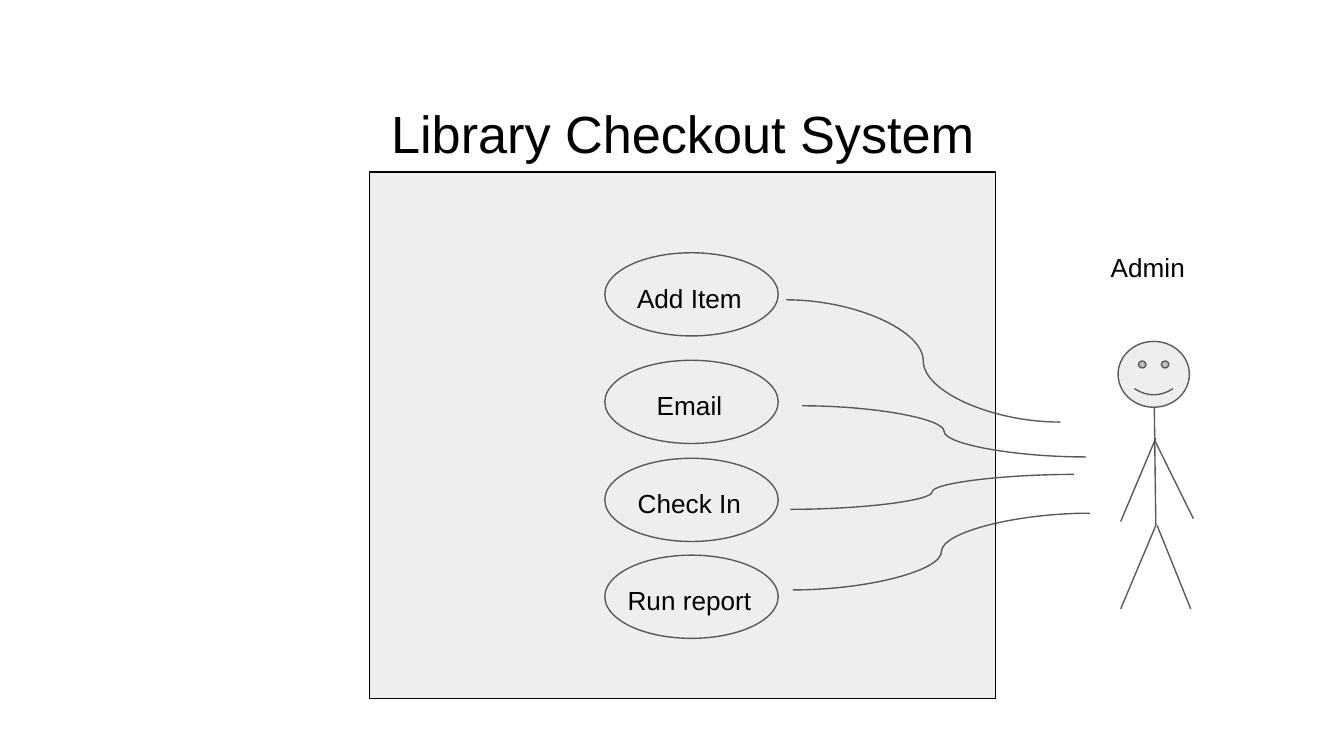
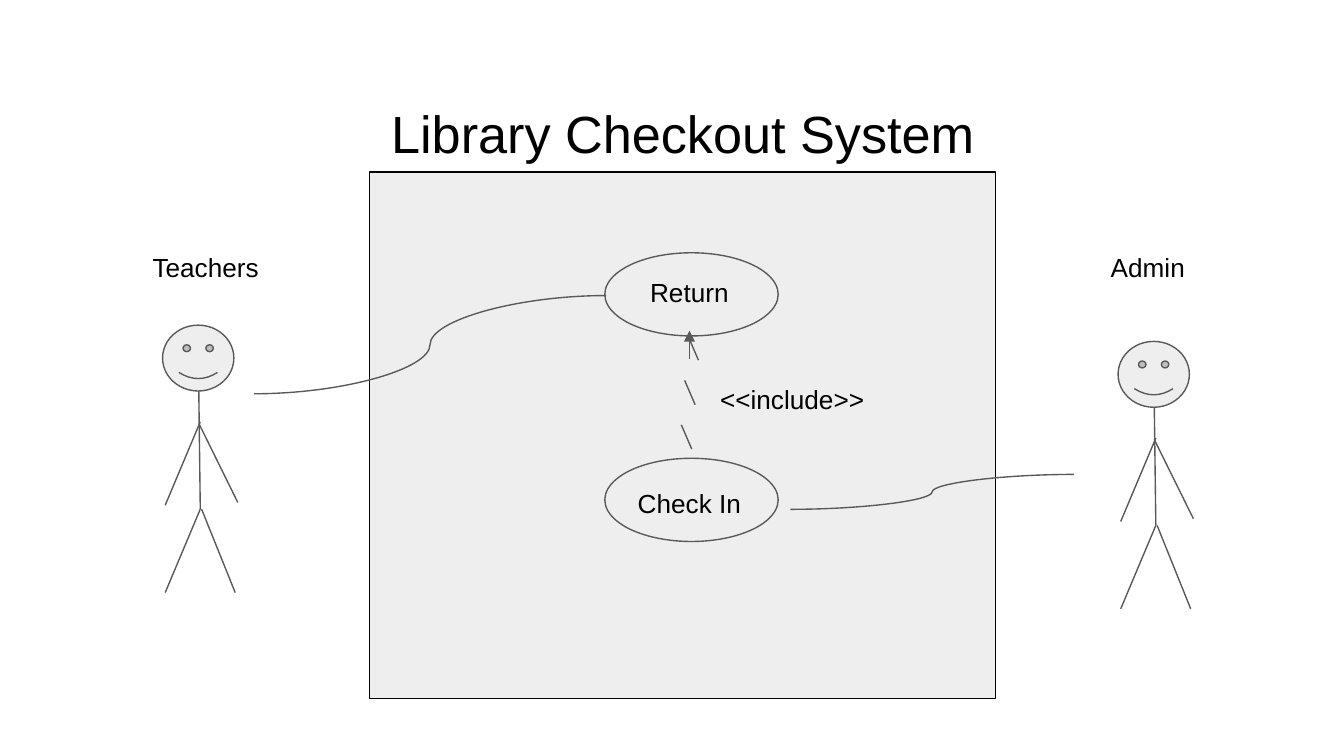
import pptx
import pptx.util
import pptx.dml.color
import pptx.enum.shapes
import pptx.enum.text
import pptx.oxml
import pptx.oxml.ns

Pt = pptx.util.Pt
SHAPE = pptx.enum.shapes.MSO_SHAPE
LINE = pptx.enum.shapes.MSO_CONNECTOR
ALIGN = pptx.enum.text.PP_ALIGN
ANCHOR = pptx.enum.text.MSO_ANCHOR

COLORS = {"ink": "000000", "panel": "EEEEEE", "stroke": "595959"}
FONT = "Arial"
INSET = 7.2

TITLE = "Library Checkout System"
TITLE_BOX = (30.2, 46.8, 671, 45.4)
SYSTEM_BOX = (198, 92.2, 335.5, 282.2)

# Use cases, as offsets inside the system box
CASE_X, CASE_W, CASE_H = 126, 92.9, 44.6
CASE_Y = {"top": 43.2, "second": 100.8, "third": 153.3, "bottom": 205.2}
LABEL_W = 426.2

# Stick figure, as offsets from the top left of the head
HEAD_W, HEAD_H = 38.2, 35.3
LIMBS = [
    (19.4, 35.3, 20.2, 98.6),    # spine
    (19.4, 52.6, 40.3, 95),      # right arm
    (20.2, 51.8, 1.4, 96.5),     # left arm
    (20.2, 98.6, 1.4, 143.3),    # left leg
    (20.9, 98.6, 38.9, 143.3),   # right leg
]
ACTOR_W, ACTOR_NAME_H = 135.4, 49.7
ADMIN = ("Admin", 547.2, 127.4, 51.8, 55.5)
TEACHERS = ("Teachers", 42.5, 127.4, 44.6, 46.8)

CHECK_IN_LINK = (423.4, 272.9, 575.3, 254.2)


def rgb(name):
    """Return the named colour."""
    return pptx.dml.color.RGBColor.from_string(COLORS[name])


def write(sp, text, size=14, align=ALIGN.CENTER, anchor=ANCHOR.TOP):
    """Fill a shape's text frame with one formatted run."""
    tf = sp.text_frame
    tf.word_wrap = True
    tf.auto_size = pptx.enum.text.MSO_AUTO_SIZE.NONE
    tf.vertical_anchor = anchor
    tf.margin_left = tf.margin_right = Pt(INSET)
    tf.margin_top = tf.margin_bottom = Pt(INSET)
    p = tf.paragraphs[0]
    p.alignment = align
    r = p.add_run()
    r.text = text
    r.font.name, r.font.size = FONT, Pt(size)
    r.font.color.rgb = rgb("ink")


def add_text(shapes, text, box, **fmt):
    """Add a text box."""
    write(shapes.add_textbox(*map(Pt, box)), text, **fmt)


def add_shape(shapes, kind, box, stroke="stroke"):
    """Add a flat panel-coloured shape with a thin outline."""
    sp = shapes.add_shape(kind, *map(Pt, box))
    sp.shadow.inherit = False
    sp.fill.solid()
    sp.fill.fore_color.rgb = rgb("panel")
    sp.line.color.rgb = rgb(stroke)
    sp.line.width = Pt(0.75)
    return sp


def add_line(shapes, ends, kind=LINE.STRAIGHT, arrow=False):
    """Add a thin line or curve, with an optional arrowhead at its end."""
    cxn = shapes.add_connector(kind, *map(Pt, ends))
    cxn.line.color.rgb = rgb("stroke")
    cxn.line.width = Pt(0.75)
    qn = pptx.oxml.ns.qn
    if arrow:
        tail = cxn.line._get_or_add_ln().makeelement(qn("a:tailEnd"), {"type": "triangle"})
        cxn.line._get_or_add_ln().append(tail)
    sp_pr = cxn._element.spPr
    sp_pr.append(sp_pr.makeelement(qn("a:effectLst"), {}))


def add_system(prs):
    """Add a slide with the title and the system boundary."""
    slide = prs.slides.add_slide(prs.slide_layouts[5])
    title = slide.shapes.title
    title.left, title.top, title.width, title.height = map(Pt, TITLE_BOX)
    write(title, TITLE, size=28)
    add_shape(slide.shapes, SHAPE.RECTANGLE, SYSTEM_BOX, stroke="ink")
    return slide.shapes


def add_case(shapes, text, row, box=SYSTEM_BOX, label_dy=6.5, label_h=35.3):
    """Add a use case oval with its label in a row of the system box."""
    x, y = box[0] + CASE_X, box[1] + CASE_Y[row]
    group = shapes.add_group_shape().shapes
    add_shape(group, SHAPE.OVAL, (x, y, CASE_W, CASE_H))
    label_x = x + (CASE_W - LABEL_W) / 2 - 1.1
    add_text(group, text, (label_x, y + label_dy, LABEL_W, label_h), anchor=ANCHOR.MIDDLE)


def add_actor(shapes, name, left, top, head_dx, head_dy):
    """Add a named stick figure in the column that starts at left, top."""
    x, y = left + head_dx, top + head_dy
    group = shapes.add_group_shape().shapes
    add_shape(group, SHAPE.SMILEY_FACE, (x, y, HEAD_W, HEAD_H))
    for x1, y1, x2, y2 in LIMBS:
        add_line(group, (x + x1, y + y1, x + x2, y + y2))
    add_text(group, name, (left, top, ACTOR_W, ACTOR_NAME_H))


def add_include(shapes, left, top):
    """Add the dashed include arrow with its label; left, top is its first dash."""
    group = shapes.add_group_shape().shapes
    for i in range(3):
        x, y = left - 1.8 * i, top + 23.8 * i
        add_line(group, (x, y, x + 5.6, y + 13))
    add_text(shapes, "<<include>>", (left + 10.1, top + 18, 98.6, 29.5), align=ALIGN.LEFT)
    add_line(shapes, (left + 0.8, top + 12.2, left + 0.8, top - 2.9), arrow=True)


def admin_slide(prs):
    """Build the slide of the admin's use cases."""
    shapes = add_system(prs)
    add_actor(shapes, *ADMIN)
    cases = [
        ("Add Item", (421.2, 160.6, 568.1, 226.1)),
        ("Email", (429.8, 217.4, 581.8, 244.8)),
        ("Check In", CHECK_IN_LINK),
        ("Run report", (424.8, 316.1, 583.9, 275)),
    ]
    for row, (text, link) in zip(CASE_Y, cases):
        add_case(shapes, text, row)
        add_line(shapes, link, LINE.CURVE)


def return_slide(prs):
    """Build the slide of a return that includes a check in."""
    shapes = add_system(prs)
    add_actor(shapes, *ADMIN)
    add_actor(shapes, *TEACHERS)
    add_case(shapes, "Check In", "third")
    add_case(shapes, "Return", "top", label_dy=0, label_h=41.8)
    add_line(shapes, CHECK_IN_LINK, LINE.CURVE)
    add_line(shapes, (136.1, 211, 324.7, 158.4), LINE.CURVE)
    add_include(shapes, 368.6, 180)


prs = pptx.Presentation()
prs.slide_width, prs.slide_height = Pt(720), Pt(405)
admin_slide(prs)
return_slide(prs)
prs.save("out.pptx")
